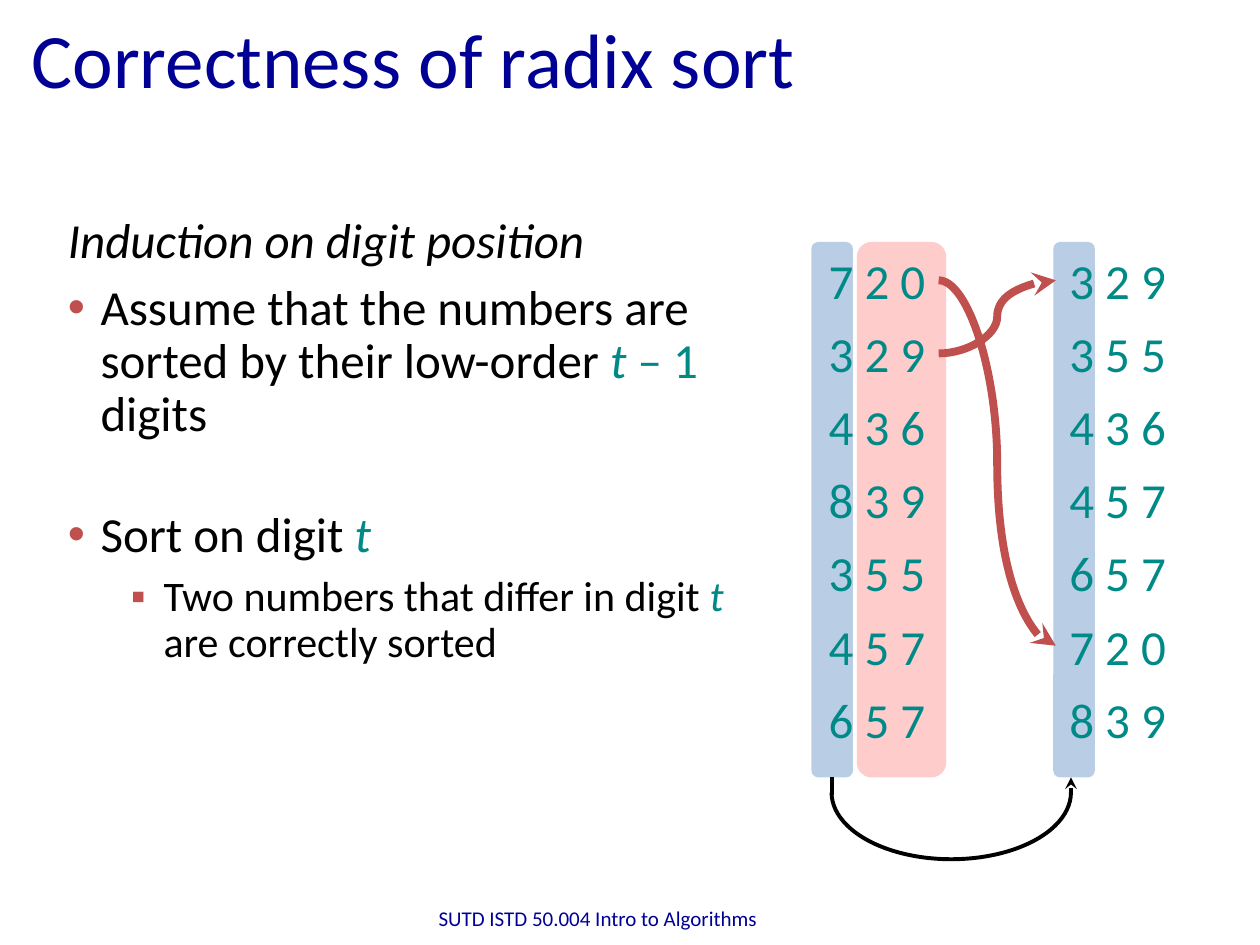
"""Build a slide on the correctness of radix sort."""
from lxml import etree
from pptx import Presentation
from pptx.dml.color import RGBColor
from pptx.enum.shapes import MSO_CONNECTOR, MSO_SHAPE
from pptx.enum.text import MSO_ANCHOR, PP_ALIGN
from pptx.oxml.ns import qn
from pptx.util import Inches, Pt

LEFT, CENTER = PP_ALIGN.LEFT, PP_ALIGN.CENTER
MIDDLE = MSO_ANCHOR.MIDDLE
ROUND, ARC = MSO_SHAPE.ROUNDED_RECTANGLE, MSO_SHAPE.ARC
LINE, CURVE = MSO_CONNECTOR.STRAIGHT, MSO_CONNECTOR.CURVE

THEME = {
    "font": "Calibri",
    "navy": "000095", "black": "000000", "teal": "008A87",
    "red": "C0504D", "blue": "B9CDE5", "pink": "FFCCCC",
    "title": 44, "body": 28, "sub": 24, "foot": 12,
}

TITLE = "Correctness of radix sort"
FOOTER = "SUTD ISTD 50.004 Intro to Algorithms"
BEFORE = ["7 2 0", "3 2 9", "4 3 6", "8 3 9", "3 5 5", "4 5 7", "6 5 7"]
AFTER = sorted(BEFORE)
MOVED = ["7 2 0", "3 2 9"]

# Each paragraph: bullet, size, indent, space before, runs of (text, colour, italic).
BODY = [
    (1.67, 1.95, [
        (None, "body", 0.26, 0, [("Induction on digit position", "black", True)]),
        ("•", "body", 0.26, 8, [
            ("Assume that the numbers are sorted by their low-order ", "black", False),
            ("t ", "teal", True), ("– 1 ", "teal", False), ("digits", "black", False)]),
    ]),
    (4, 1.32, [
        ("•", "body", 0.26, 0, [("Sort on digit ", "black", False), ("t", "teal", True)]),
        ("▪", "sub", 0.76, 7, [
            ("Two numbers that differ in digit ", "black", False),
            ("t", "teal", True), (" are correctly sorted", "black", False)]),
    ]),
]

BANDS = [(6.44, 0.33, "blue"), (8.36, 0.33, "blue"), (6.8, 0.71, "pink")]
BAND_TOP, BAND_HIGH = 1.92, 4.25
COL_X = [6.47, 8.38]
COL_WIDE, ROW_TOP, ROW_HIGH, ROW_STEP = 0.98, 1.94, 0.57, 0.58
ARC_X, ARC_Y, ARC_DEEP = (6.6, 8.5), 6.29, 0.53


def color(name):
    return RGBColor.from_string(THEME[name])


def style(font, size, tint):
    font.name, font.size = THEME["font"], Pt(THEME[size])
    font.color.rgb = color(tint)


def frame(slide, x, y, w, h, wrap=True):
    text = slide.shapes.add_textbox(*map(Inches, (x, y, w, h))).text_frame
    text.word_wrap = wrap
    return text


def fill_text(text, words, size, tint, align):
    para = text.paragraphs[0]
    para.text, para.alignment = words, align
    style(para.font, size, tint)


def set_bullet(para, mark, indent):
    props = para._p.get_or_add_pPr()
    props.set("marL", str(Inches(indent)))
    props.set("indent", str(-Inches(0.26)))
    if mark:
        tint = etree.SubElement(props, qn("a:buClr"))
        etree.SubElement(tint, qn("a:srgbClr"), val=THEME["red"])
        etree.SubElement(props, qn("a:buFont"), typeface="Arial")
        etree.SubElement(props, qn("a:buChar"), char=mark)
    else:
        etree.SubElement(props, qn("a:buNone"))


def add_body(slide, top, high, items):
    text = frame(slide, 0.44, top, 5.57, high)
    for i, (mark, size, indent, gap, runs) in enumerate(items):
        para = text.add_paragraph() if i else text.paragraphs[0]
        para.line_spacing, para.space_before = 0.9, Pt(gap)
        set_bullet(para, mark, indent)
        for words, tint, slant in runs:
            run = para.add_run()
            run.text, run.font.italic = words, slant
            style(run.font, size, tint)


def add_line(slide, kind, start, end, tint, width, arrow=True):
    line = slide.shapes.add_connector(kind, *map(Inches, (*start, *end)))
    line.line.color.rgb, line.line.width = color(tint), Pt(width)
    if arrow:
        etree.SubElement(line.line._get_or_add_ln(), qn("a:tailEnd"), type="stealth")
    etree.SubElement(line._element.spPr, qn("a:effectLst"))


def add_shape(slide, kind, x, y, w, h):
    shape = slide.shapes.add_shape(kind, *map(Inches, (x, y, w, h)))
    shape.shadow.inherit = False
    return shape


def add_sort(slide):
    for x, wide, tint in BANDS:
        band = add_shape(slide, ROUND, x, BAND_TOP, wide, BAND_HIGH)
        band.fill.solid()
        band.fill.fore_color.rgb = color(tint)
        band.line.fill.background()
    for x, column in zip(COL_X, (BEFORE, AFTER)):
        for row, number in enumerate(column):
            text = frame(slide, x, ROW_TOP + row * ROW_STEP, COL_WIDE, ROW_HIGH, False)
            fill_text(text, number, "body", "teal", CENTER)
    for number in MOVED:
        start, end = (ROW_TOP + ROW_HIGH / 2 + col.index(number) * ROW_STEP
                      for col in (BEFORE, AFTER))
        add_line(slide, CURVE, (COL_X[0] + COL_WIDE, start), (COL_X[1], end), "red", 4.5)


def add_loop(slide):
    left, right = ARC_X
    arc = add_shape(slide, ARC, left, ARC_Y - ARC_DEEP, right - left, 2 * ARC_DEEP)
    arc.adjustments[0], arc.adjustments[1] = 0, 108
    arc.fill.background()
    arc.line.color.rgb, arc.line.width = color("black"), Pt(2.25)
    for x in ARC_X:
        add_line(slide, LINE, (x, ARC_Y + 0.02), (x, BAND_TOP + BAND_HIGH),
                 "black", 2.25, x == right)


def main():
    deck = Presentation()
    deck.slide_width, deck.slide_height = Inches(10), Inches(7.5)
    slide = deck.slides.add_slide(deck.slide_layouts[5])
    title = slide.shapes.title
    title.left, title.top, title.width, title.height = map(Inches, (0.15, 0.03, 9, 0.85))
    title.text_frame.vertical_anchor = MIDDLE
    fill_text(title.text_frame, TITLE, "title", "navy", LEFT)
    for block in BODY:
        add_body(slide, *block)
    add_sort(slide)
    add_loop(slide)
    foot = frame(slide, 3.16, 7.09, 3.17, 0.4)
    foot.vertical_anchor = MIDDLE
    fill_text(foot, FOOTER, "foot", "navy", CENTER)
    deck.save("out.pptx")


if __name__ == "__main__":
    main()
